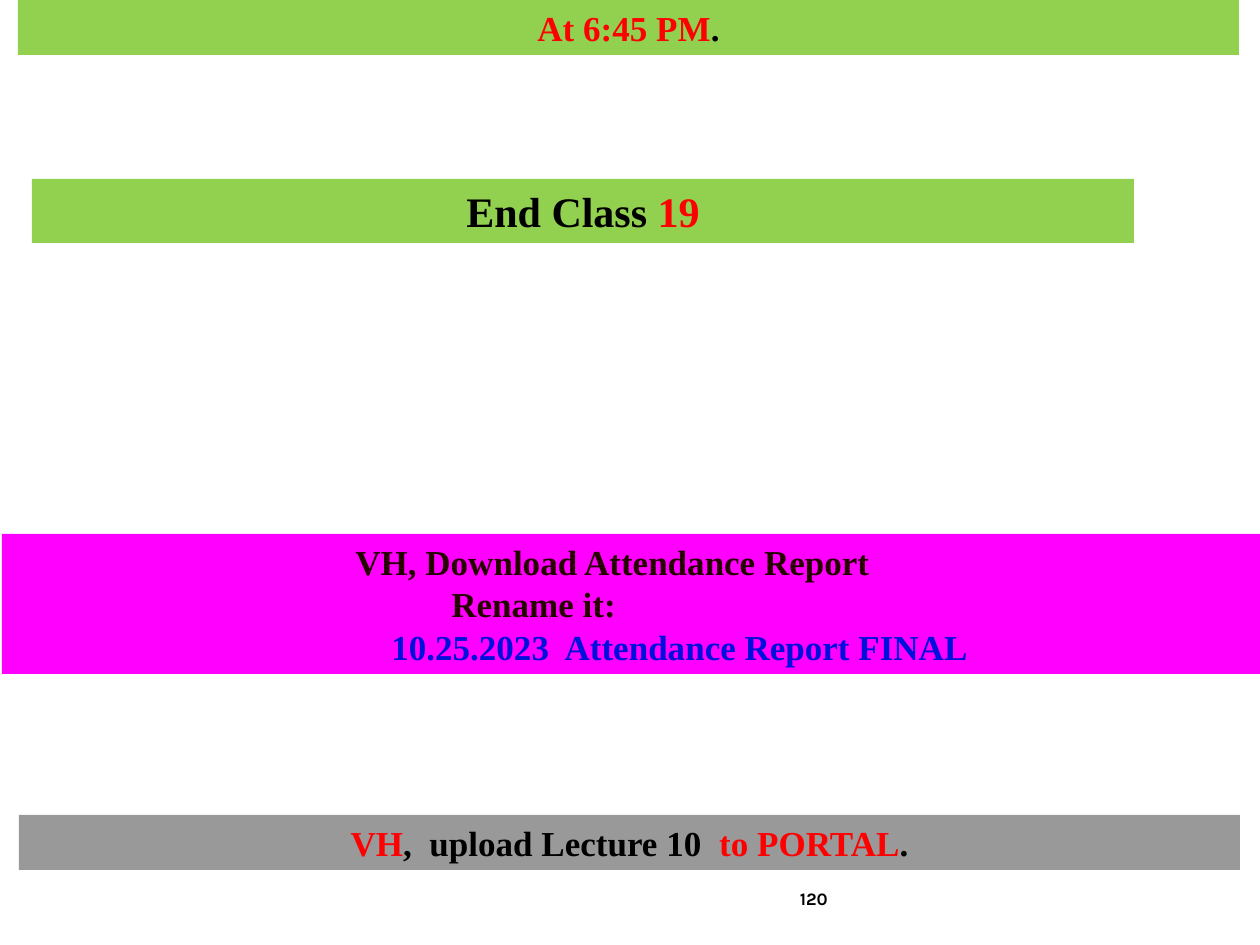
import pptx
import pptx.dml.color
import pptx.enum.shapes
import pptx.enum.text
import pptx.util

EMU_PER_PX = 914400 / 126
ALIGN = pptx.enum.text.PP_ALIGN
BLACK, RED, GREEN = "000000", "FF0000", "92D050"
DARK, BLUE, GRAY, MAGENTA = "260000", "0010DC", "999999", "FF00FF"


def px(length):
    return pptx.util.Emu(round(length * EMU_PER_PX))


def color(hex_code):
    return pptx.dml.color.RGBColor.from_string(hex_code)


class ClassSlide:
    """Draws the banners and the page number of one class slide."""

    font_name = "Times New Roman"

    def __init__(self, slide):
        self.slide = slide

    def add_runs(self, paragraph, parts, size, align, font_name=font_name, indent=0):
        paragraph.alignment = align
        if indent:
            properties = paragraph._p.get_or_add_pPr()
            properties.set("marL", str(px(indent)))
            properties.set("indent", "0")
        for wording, hex_code in parts:
            run = paragraph.add_run()
            run.text = wording
            run.font.name = font_name
            run.font.size = pptx.util.Pt(size)
            run.font.bold = True
            run.font.color.rgb = color(hex_code)

    def banner(self, left, top, width, height, fill, lines, size=20, align=ALIGN.CENTER):
        band = self.slide.shapes.add_shape(
            pptx.enum.shapes.MSO_SHAPE.RECTANGLE, px(left), px(top), px(width), px(height))
        band.shadow.inherit = False
        band.fill.solid()
        band.fill.fore_color.rgb = color(fill)
        band.line.fill.background()
        frame = band.text_frame
        frame.word_wrap = True
        frame.auto_size = pptx.enum.text.MSO_AUTO_SIZE.SHAPE_TO_FIT_TEXT
        frame.vertical_anchor = pptx.enum.text.MSO_ANCHOR.MIDDLE
        for index, (indent, parts) in enumerate(lines):
            paragraph = frame.add_paragraph() if index else frame.paragraphs[0]
            self.add_runs(paragraph, parts, size, align, indent=indent)

    def page_number(self, left, top, width, height, number):
        box = self.slide.shapes.add_textbox(px(left), px(top), px(width), px(height))
        frame = box.text_frame
        frame.word_wrap = True
        frame.vertical_anchor = pptx.enum.text.MSO_ANCHOR.MIDDLE
        self.add_runs(frame.paragraphs[0], [(number, BLACK)], 10, ALIGN.RIGHT, "Karla")


def main():
    deck = pptx.Presentation()
    deck.slide_width, deck.slide_height = px(1260), px(945)
    page = ClassSlide(deck.slides.add_slide(deck.slide_layouts[6]))

    page.page_number(63, 882, 777, 32, "120")
    page.banner(32, 179, 1102, 64, GREEN, [(0, [("End Class ", BLACK), ("19", RED)])], size=24)
    page.banner(19, 815, 1221, 55, GRAY, [(0, [
        ("VH", RED), (",  upload Lecture 10  ", BLACK), ("to PORTAL", RED), (".", BLACK)])])
    page.banner(18, 0, 1221, 55, GREEN, [(0, [("At 6:45 PM", RED), (".", BLACK)])])
    page.banner(2, 534, 1262, 140, MAGENTA, [
        (341, [("VH, Download Attendance Report", DARK)]),
        (437, [("Rename it:", DARK)]),
        (377, [("10.25.2023  Attendance Report FINAL", BLUE)]),
    ], align=ALIGN.LEFT)

    deck.save("out.pptx")


if __name__ == "__main__":
    main()
